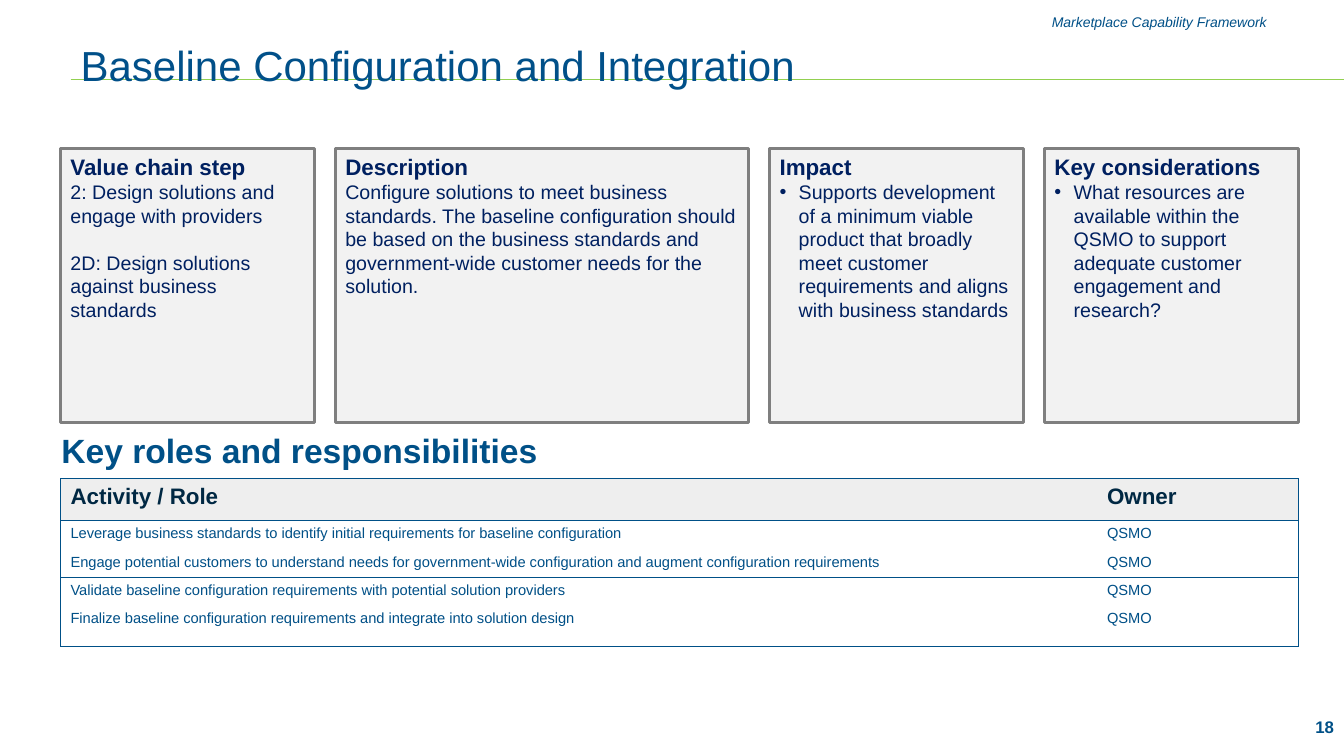
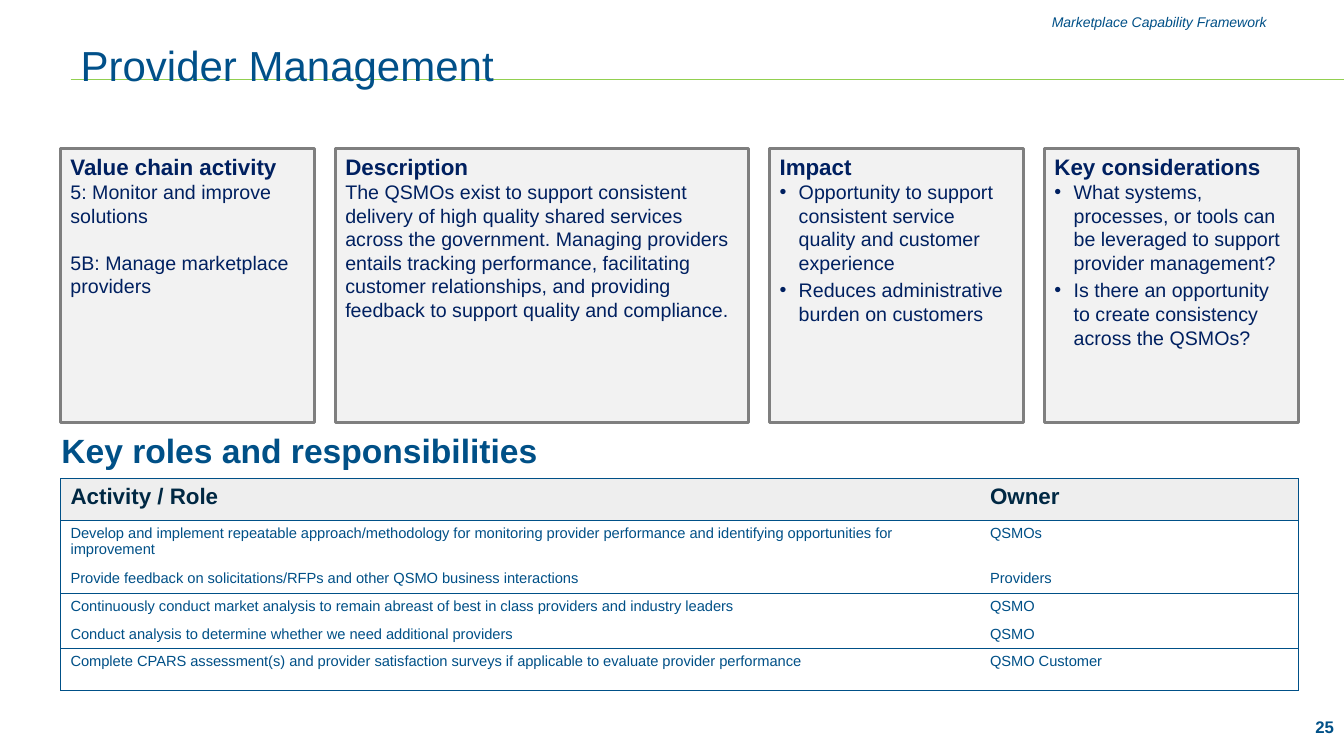
from lxml.etree import SubElement
from pptx import Presentation
from pptx.dml.color import RGBColor
from pptx.enum.shapes import MSO_CONNECTOR, MSO_SHAPE
from pptx.enum.text import MSO_ANCHOR, MSO_AUTO_SIZE, PP_ALIGN
from pptx.oxml.ns import qn
from pptx.util import Inches, Pt

FONT = "Arial"
BLUE = RGBColor(0x00, 0x50, 0x87)
TITLE_BLUE = RGBColor(0x01, 0x50, 0x89)
NAVY = RGBColor(0x00, 0x20, 0x60)
HEADER_INK = RGBColor(0x00, 0x28, 0x43)
GREEN = RGBColor(0x92, 0xD0, 0x50)
GREY = RGBColor(0x7F, 0x7F, 0x7F)
CARD_FILL = RGBColor(0xF2, 0xF2, 0xF2)
HEADER_FILL = RGBColor(0xEE, 0xEE, 0xEE)

SLIDE_WIDTH, SLIDE_HEIGHT = 13.33, 7.5
LEFT, CONTENT_WIDTH = 0.6, 12.28
CARD_TOP, CARD_HEIGHT = 1.47, 2.72
CARD_WIDTHS = (2.52, 4.1, 2.52, 2.52)
CARD_GAP = (CONTENT_WIDTH - sum(CARD_WIDTHS)) / (len(CARD_WIDTHS) - 1)
TABLE_TOP = 4.75
RULE_LEFT, RULE_TOP = 0.7, 0.79
BULLET_INDENT = Inches(0.19)

PAGES = [
    {
        "title": "Baseline Configuration and Integration",
        "number": "18",
        "cards": [
            ("Value chain step", False, 16.8, [
                "2: Design solutions and engage with providers",
                "2D: Design solutions against business standards"]),
            ("Description", False, 0, [
                "Configure solutions to meet business standards. The baseline configuration "
                "should be based on the business standards and government-wide customer "
                "needs for the solution."]),
            ("Impact", True, 3, [
                "Supports development of a minimum viable product that broadly meet customer "
                "requirements and aligns with business standards"]),
            ("Key considerations", True, 3, [
                "What resources are available within the QSMO to support adequate customer "
                "engagement and research?"]),
        ],
        "owner_width": 2.0,
        "row_heights": (0.41, 0.29, 0.27, 0.27, 0.41),
        "roles": [
            ("Leverage business standards to identify initial requirements for baseline "
             "configuration", "QSMO"),
            ("Engage potential customers to understand needs for government-wide "
             "configuration and augment configuration requirements", "QSMO"),
            ("Validate baseline configuration requirements with potential solution "
             "providers", "QSMO"),
            ("Finalize baseline configuration requirements and integrate into solution "
             "design", "QSMO"),
        ],
    },
    {
        "title": "Provider Management",
        "number": "25",
        "cards": [
            ("Value chain activity", False, 16.8, [
                "5: Monitor and improve solutions",
                "5B: Manage marketplace providers"]),
            ("Description", False, 0, [
                "The QSMOs exist to support consistent delivery of high quality shared "
                "services across the government. Managing providers entails tracking "
                "performance, facilitating customer relationships, and providing feedback "
                "to support quality and compliance."]),
            ("Impact", True, 3, [
                "Opportunity to support consistent service quality and customer experience",
                "Reduces administrative burden on customers"]),
            ("Key considerations", True, 3, [
                "What systems, processes, or tools can be leveraged to support provider "
                "management?",
                "Is there an opportunity to create consistency across the QSMOs?"]),
        ],
        "owner_width": 3.16,
        "row_heights": (0.41, 0.41, 0.26, 0.26, 0.27, 0.41),
        "roles": [
            ("Develop and implement repeatable approach/methodology for monitoring provider "
             "performance and identifying opportunities for improvement", "QSMOs"),
            ("Provide feedback on solicitations/RFPs and other QSMO business interactions",
             "Providers"),
            ("Continuously conduct market analysis to remain abreast of best in class "
             "providers and industry leaders", "QSMO"),
            ("Conduct analysis to determine whether we need additional providers", "QSMO"),
            ("Complete CPARS assessment(s) and provider satisfaction surveys if applicable "
             "to evaluate provider performance", "QSMO Customer"),
        ],
    },
]


def add_span(para, text, size, color, bold=False, italic=False):
    span = para.add_run()
    span.text = text
    font = span.font
    font.name, font.size = FONT, Pt(size)
    font.bold, font.italic = bold, italic
    font.color.rgb = color


def add_label(page, area, text, size, anchor, align=PP_ALIGN.LEFT, bold=False, italic=False):
    box = page.shapes.add_textbox(*map(Inches, area))
    frame = box.text_frame
    frame.word_wrap = True
    frame.vertical_anchor = anchor
    para = frame.paragraphs[0]
    para.alignment = align
    add_span(para, text, size, BLUE, bold, italic)
    return frame


def add_rule(page):
    rule = page.shapes.add_connector(
        MSO_CONNECTOR.STRAIGHT, Inches(RULE_LEFT), Inches(RULE_TOP),
        Inches(SLIDE_WIDTH), Inches(RULE_TOP))
    rule.line.color.rgb = GREEN
    rule.line.width = Pt(0.75)
    SubElement(rule.element.spPr, qn("a:effectLst"))
    page.shapes.element.insert(2, rule.element)


def fill_title(page, text):
    frame = page.shapes.title.text_frame
    frame.auto_size = MSO_AUTO_SIZE.NONE
    frame.vertical_anchor = MSO_ANCHOR.MIDDLE
    para = frame.paragraphs[0]
    para.alignment = PP_ALIGN.LEFT
    add_span(para, text, 30, TITLE_BLUE)


def add_frame(page, title, number):
    add_rule(page)
    fill_title(page, title)
    add_label(page, (8.83, 0.08, 3.83, 0.28), "Marketplace Capability Framework", 10,
              MSO_ANCHOR.MIDDLE, PP_ALIGN.RIGHT, italic=True)
    frame = add_label(page, (12.53, 6.84, 0.8, 0.57), number, 12,
                      MSO_ANCHOR.BOTTOM, PP_ALIGN.RIGHT, bold=True)
    frame.margin_top = frame.margin_bottom = Inches(0.1)


def set_bullet(para):
    properties = para._p.get_or_add_pPr()
    properties.set("marL", str(BULLET_INDENT))
    properties.set("indent", str(-BULLET_INDENT))
    color = SubElement(properties, qn("a:buClr"))
    SubElement(color, qn("a:srgbClr"), val=str(NAVY))
    SubElement(properties, qn("a:buFont"), typeface=FONT)
    SubElement(properties, qn("a:buChar"), char="•")


def add_card(page, left, width, heading, bulleted, gap, lines):
    card = page.shapes.add_shape(
        MSO_SHAPE.RECTANGLE, Inches(left), Inches(CARD_TOP), Inches(width), Inches(CARD_HEIGHT))
    card.shadow.inherit = False
    card.fill.solid()
    card.fill.fore_color.rgb = CARD_FILL
    card.line.color.rgb = GREY
    card.line.width = Pt(2)
    frame = card.text_frame
    frame.word_wrap = True
    frame.vertical_anchor = MSO_ANCHOR.TOP
    para = frame.paragraphs[0]
    para.alignment = PP_ALIGN.LEFT
    add_span(para, heading, 16, NAVY, bold=True)
    for index, line in enumerate(lines):
        para = frame.add_paragraph()
        para.alignment = PP_ALIGN.LEFT
        if index:
            para.space_before = Pt(gap)
        if bulleted:
            set_bullet(para)
        add_span(para, line, 14, NAVY)


def add_cards(page, cards):
    left = LEFT
    for width, card in zip(CARD_WIDTHS, cards):
        add_card(page, left, width, *card)
        left += width + CARD_GAP


def set_borders(cell, sides):
    properties = cell._tc.get_or_add_tcPr()
    for side in "LRTB":
        edge = SubElement(properties, qn(f"a:ln{side}"), w=str(Pt(0.75)))
        if side in sides:
            paint = SubElement(edge, qn("a:solidFill"))
            SubElement(paint, qn("a:srgbClr"), val=str(BLUE))
        else:
            SubElement(edge, qn("a:noFill"))


def fill_cell(cell, text, header, sides):
    set_borders(cell, sides)
    if header:
        cell.fill.solid()
        cell.fill.fore_color.rgb = HEADER_FILL
    else:
        cell.fill.background()
    size, color = (16, HEADER_INK) if header else (10.5, BLUE)
    add_span(cell.text_frame.paragraphs[0], text, size, color, bold=header)


def add_roles(page, roles, owner_width, row_heights):
    rows = [("Activity / Role", "Owner"), *roles]
    last = len(rows) - 1
    table = page.shapes.add_table(
        len(rows), 2, Inches(LEFT), Inches(TABLE_TOP),
        Inches(CONTENT_WIDTH), Inches(sum(row_heights))).table
    table.horz_banding = False
    table.columns[0].width = Inches(CONTENT_WIDTH - owner_width)
    table.columns[1].width = Inches(owner_width)
    for index, (texts, height) in enumerate(zip(rows, row_heights)):
        table.rows[index].height = Inches(height)
        top = "T" if index == 0 or index % 2 else ""
        bottom = "B" if index == last or index % 2 == 0 else ""
        for column, text in enumerate(texts):
            fill_cell(table.cell(index, column), text, index == 0, "LR"[column] + top + bottom)


def main():
    deck = Presentation()
    deck.slide_width, deck.slide_height = Inches(SLIDE_WIDTH), Inches(SLIDE_HEIGHT)
    layout = deck.slide_layouts.get_by_name("Title Only")
    title = layout.placeholders[0]
    title.left, title.top, title.width, title.height = map(Inches, (0.7, 0.17, 11.96, 0.94))
    for content in PAGES:
        page = deck.slides.add_slide(layout)
        add_frame(page, content["title"], content["number"])
        add_cards(page, content["cards"])
        add_label(page, (0.51, 4.22, 4.94, 0.5), "Key roles and responsibilities", 24,
                  MSO_ANCHOR.TOP, bold=True)
        add_roles(page, content["roles"], content["owner_width"], content["row_heights"])
    deck.save("out.pptx")


if __name__ == "__main__":
    main()
